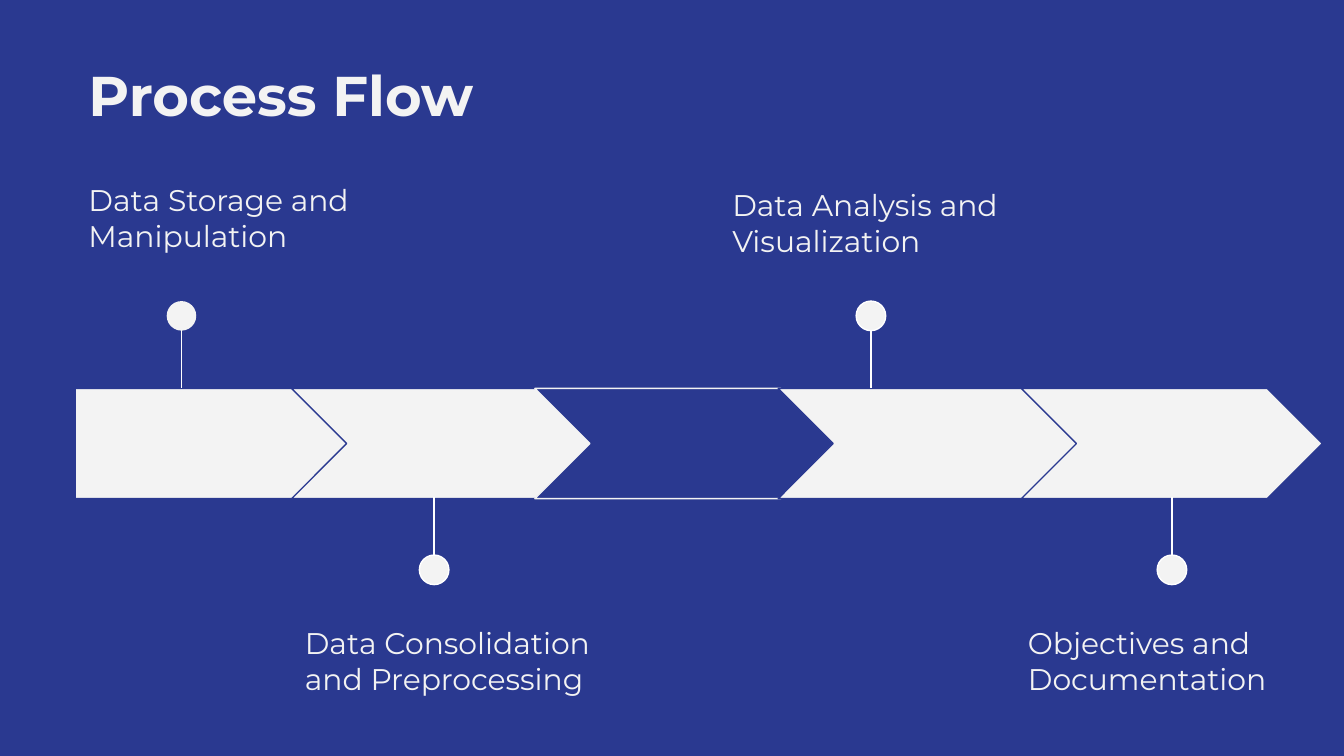
from lxml import etree
from pptx import Presentation, util as u
from pptx.dml.color import RGBColor
from pptx.enum import shapes, text
from pptx.oxml.ns import qn

HUES = {"blue": "2A3990", "pale": "F3F3F3", "white": "FFFFFF"}
FONT = "Montserrat"
KIND = shapes.MSO_SHAPE

WIDE = 10
TOP, HIGH = 2.89, 0.82      # arrow band
FIRST, STEP = 2.17, 1.81    # first chevron and pitch
DOT = 0.22


def hue(name):
    return RGBColor.from_string(HUES[name])


class Deck:
    """Holds the style and the current slide."""

    def __init__(self, wide, high):
        self.prs = Presentation()
        self.prs.slide_width = u.Inches(wide)
        self.prs.slide_height = u.Inches(high)
        self.slide = self.prs.slides.add_slide(self.prs.slide_layouts[6])
        fill = self.slide.background.fill
        fill.solid()
        fill.fore_color.rgb = hue("blue")

    def shape(self, kind, x, y, w, h, fill="pale", line=None):
        box = self.slide.shapes.add_shape(kind, *map(u.Inches, (x, y, w, h)))
        box.shadow.inherit = False
        box.fill.solid()
        box.fill.fore_color.rgb = hue(fill)
        if line:
            box.line.color.rgb = hue(line)
            box.line.width = u.Pt(0.75)
        else:
            box.line.fill.background()

    def line(self, x1, y1, x2, y2):
        rule = self.slide.shapes.add_connector(
            shapes.MSO_CONNECTOR.STRAIGHT, *map(u.Inches, (x1, y1, x2, y2)))
        rule.line.color.rgb = hue("white")
        rule.line.width = u.Pt(0.75)
        etree.SubElement(rule._element.spPr, qn("a:effectLst"))

    def text(self, words, x, y, w, h, size=16, bold=False):
        box = self.slide.shapes.add_textbox(*map(u.Inches, (x, y, w, h)))
        frame = box.text_frame
        frame.word_wrap = True
        frame.vertical_anchor = text.MSO_ANCHOR.TOP
        frame.margin_left = frame.margin_right = u.Inches(0.1)
        frame.margin_top = frame.margin_bottom = u.Inches(0.1)
        run = frame.paragraphs[0].add_run()
        run.text = words
        font = run.font
        font.name, font.size, font.bold = FONT, u.Pt(size), bold
        font.color.rgb = hue("pale")

    def pin(self, x, up, rim):
        """Draw a stem from the band at x, ending in a dot above or below."""
        start, end, dot = (TOP, 2.28, 2.24) if up else (3.7, 4.3, 4.13)
        self.line(x, end, x, start)
        self.shape(KIND.OVAL, x - DOT / 2, dot, DOT, DOT, line=rim)


def main():
    deck = Deck(WIDE, WIDE * 9 / 16)
    deck.text("Process Flow", 0.56, 0.35, 3.25, 0.68, size=30, bold=True)

    deck.shape(KIND.PENTAGON, 0.56, TOP, 2.05, HIGH, line="blue")
    tones = [("pale", "blue"), ("blue", "pale"),
             ("pale", "blue"), ("pale", "blue")]
    for i, (fill, line) in enumerate(tones):
        deck.shape(KIND.CHEVRON, FIRST + i * STEP, TOP, 2.24, HIGH, fill, line)

    # pin x, above the band, dot rim, label, label box
    stages = [
        (1.35, True, None, "Data Storage and Manipulation",
         (0.56, 1.25, 2.19, 0.82)),
        (3.23, False, "white", "Data Consolidation and Preprocessing",
         (2.17, 4.55, 2.45, 0.82)),
        (6.48, True, "white", "Data Analysis and Visualization",
         (5.35, 1.29, 2.19, 0.74)),
        (8.72, False, "white", "Objectives and Documentation",
         (7.55, 4.55, 2.05, 0.74)),
    ]
    for x, up, rim, label, box in stages:
        deck.pin(x, up, rim)
        deck.text(label, *box)

    deck.prs.save("out.pptx")


if __name__ == "__main__":
    main()
